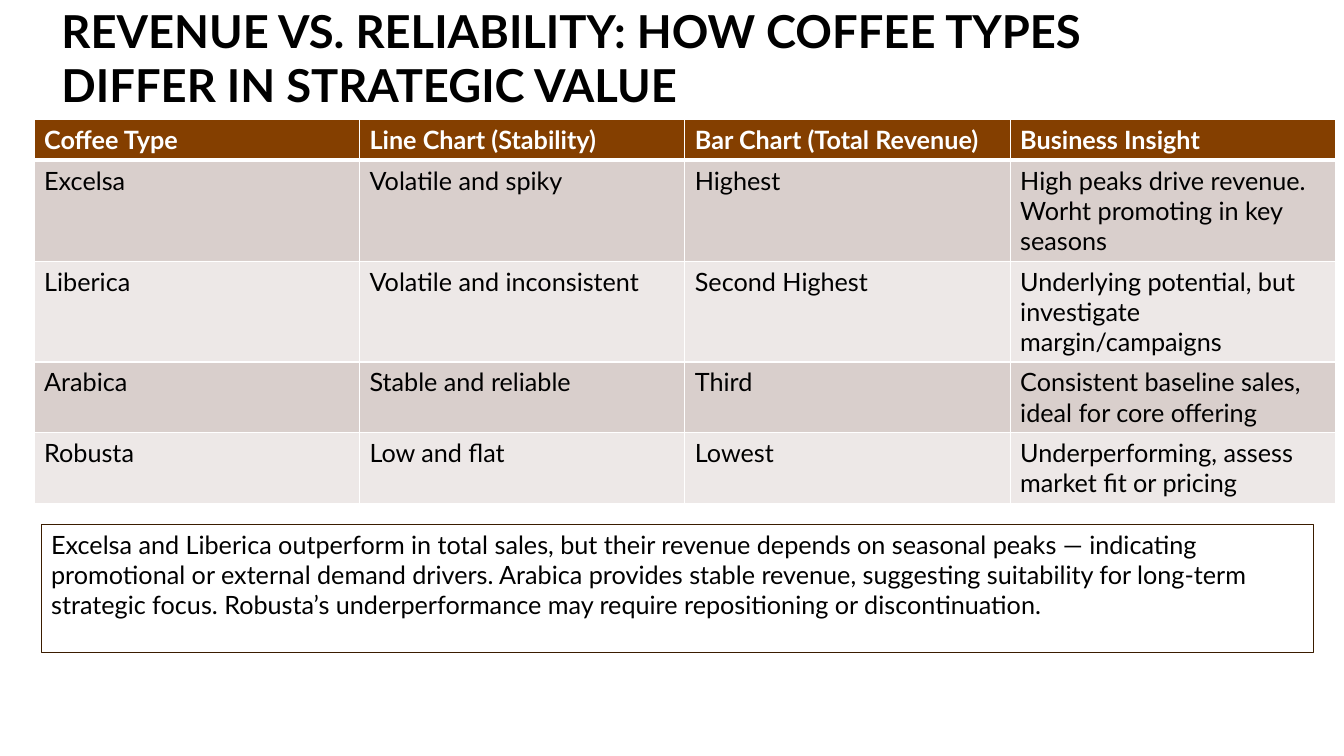
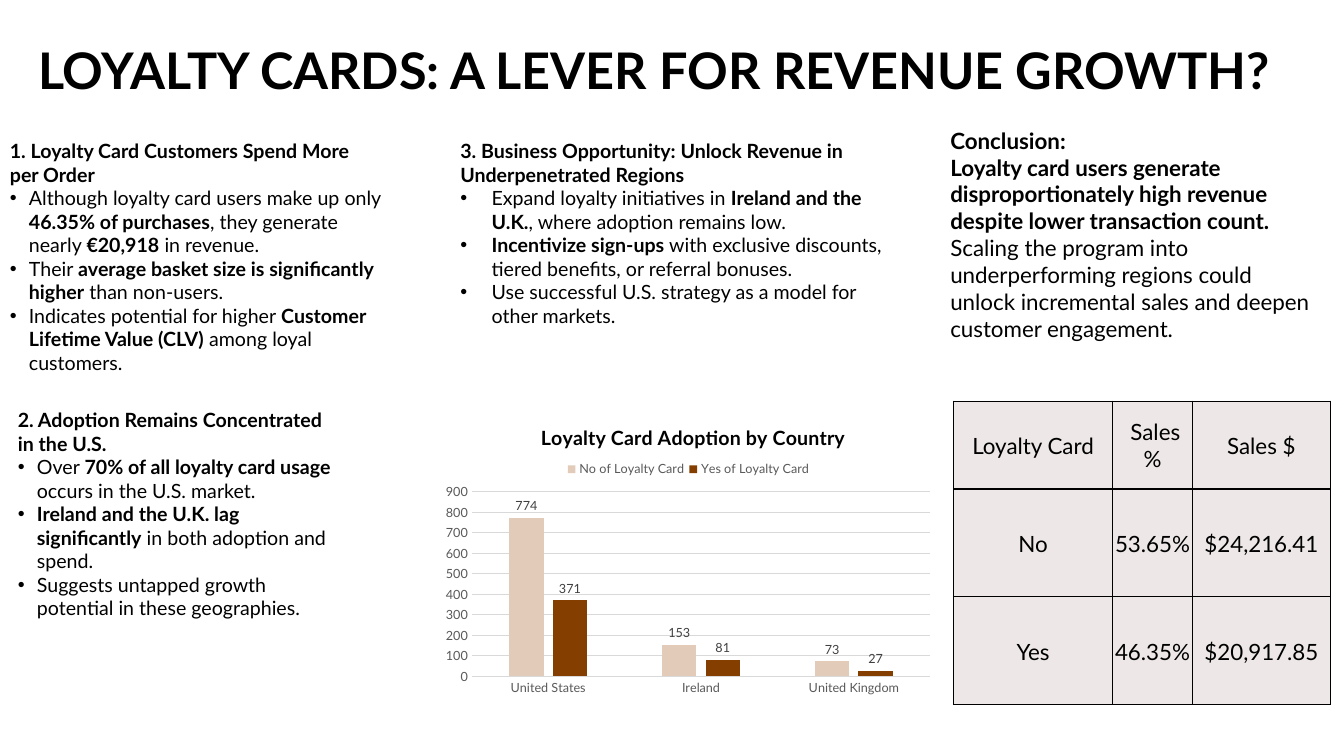
from lxml.etree import SubElement
from pptx import Presentation
from pptx.chart.data import CategoryChartData
from pptx.dml.color import RGBColor
from pptx.enum.chart import XL_CHART_TYPE, XL_LABEL_POSITION, XL_LEGEND_POSITION, XL_TICK_MARK
from pptx.enum.shapes import MSO_SHAPE
from pptx.enum.text import MSO_ANCHOR, PP_ALIGN
from pptx.oxml import parse_xml
from pptx.oxml.ns import nsdecls, qn
from pptx.util import Cm, Pt

FONT = "Lato"
BLACK, WHITE = "000000", "FFFFFF"
BROWN, DARK_BROWN, BEIGE = "843F00", "3A1C00", "E2CBB9"
BAND, PALE = "D9CFCC", "EDE8E7"
GRID, AXIS_TEXT, LABEL_TEXT = "D9D9D9", "595959", "404040"

COFFEE_ROWS = [
    ["Coffee Type", "Line Chart (Stability)", "Bar Chart (Total Revenue)", "Business Insight"],
    ["Excelsa", "Volatile and spiky", "Highest",
     "High peaks drive revenue. Worht promoting in key seasons"],
    ["Liberica", "Volatile and inconsistent", "Second Highest",
     "Underlying potential, but investigate margin/campaigns"],
    ["Arabica", "Stable and reliable", "Third", "Consistent baseline sales, ideal for core offering"],
    ["Robusta", "Low and flat", "Lowest", "Underperforming, assess market fit or pricing"],
]
SUMMARY = (
    "Excelsa and Liberica outperform in total sales, but their revenue depends on seasonal peaks — "
    "indicating promotional or external demand drivers. Arabica provides stable revenue, suggesting "
    "suitability for long-term strategic focus. Robusta’s underperformance may require repositioning "
    "or discontinuation."
)
SPENDING = [
    "**1. Loyalty Card Customers Spend More per Order**",
    "Although loyalty card users make up only **46.35% of purchases**, they generate nearly "
    "**€20,918** in revenue.",
    "Their **average basket size is significantly higher** than non-users.",
    "Indicates potential for higher **Customer Lifetime Value (CLV)** among loyal customers.",
]
ADOPTION = [
    "**2. Adoption Remains Concentrated in the U.S.**",
    "Over **70% of all loyalty card usage** occurs in the U.S. market.",
    "**Ireland and the U.K. lag significantly** in both adoption and spend.",
    "Suggests untapped growth potential in these geographies.",
]
OPPORTUNITY = [
    "**3. Business Opportunity: Unlock Revenue in Underpenetrated Regions**",
    "Expand loyalty initiatives in **Ireland and the U.K.**, where adoption remains low.",
    "**Incentivize sign-ups** with exclusive discounts, tiered benefits, or referral bonuses.",
    "Use successful U.S. strategy as a model for other markets.",
]
CONCLUSION = [
    "**Conclusion:**",
    "**Loyalty card users generate disproportionately high revenue despite lower transaction count.**",
    "Scaling the program into underperforming regions could unlock incremental sales and deepen "
    "customer engagement.",
]
CARD_ROWS = [
    ["Loyalty Card", " Sales %", "Sales $"],
    ["No", "53.65%", "$24,216.41"],
    ["Yes", "46.35%", "$20,917.85"],
]
COUNTRIES = ["United States", "Ireland", "United Kingdom"]
CARD_SERIES = [
    ("No of Loyalty Card", [774, 153, 73], BEIGE),
    ("Yes of Loyalty Card", [371, 81, 27], BROWN),
]


def rgb(value):
    """Turn a hex string into a colour."""
    return RGBColor.from_string(value)


def style(font, size, color=BLACK, bold=False):
    """Set face, size, colour and weight of a font."""
    font.name, font.size, font.bold = FONT, Pt(size), bold
    font.color.rgb = rgb(color)


def write(p, text, size, color=BLACK):
    """Add runs to a paragraph, bold between double asterisks."""
    for i, part in enumerate(text.split("**")):
        if part:
            r = p.add_run()
            r.text = part
            style(r.font, size, color, i % 2 == 1)


def add_bullet(p, indent):
    """Give a paragraph a bullet with a hanging indent in centimetres."""
    pPr = p._p.get_or_add_pPr()
    pPr.set("marL", str(Cm(indent)))
    pPr.set("indent", str(-Cm(indent)))
    SubElement(pPr, qn("a:buFont"), typeface="Arial")
    SubElement(pPr, qn("a:buChar"), char="•")


def add_text(s, box, lines, size, indent=0):
    """Place a text box, bulleting all but its first line when an indent is given."""
    tf = s.shapes.add_textbox(*map(Cm, box)).text_frame
    tf.word_wrap = True
    for i, line in enumerate(lines):
        p = tf.paragraphs[0] if i == 0 else tf.add_paragraph()
        if indent and i:
            add_bullet(p, indent)
        write(p, line, size)
    return tf


def add_title(s, box, text, size):
    """Place a bold title centred vertically in its box."""
    tf = add_text(s, box, [f"**{text}**"], size)
    tf.vertical_anchor = MSO_ANCHOR.MIDDLE
    tf.margin_top = tf.margin_bottom = 0


def add_border(cell, color, bottom=1):
    """Outline a cell at one point, with its own bottom width."""
    tcPr = cell._tc.get_or_add_tcPr()
    for i, (side, width) in enumerate([("L", 1), ("R", 1), ("T", 1), ("B", bottom)]):
        tcPr.insert(i, parse_xml(
            f'<a:ln{side} {nsdecls("a")} w="{Pt(width)}"><a:solidFill>'
            f'<a:srgbClr val="{color}"/></a:solidFill></a:ln{side}>'))


def add_grid(s, origin, widths, heights):
    """Place an unbanded table with the given column widths and row heights."""
    box = (*origin, sum(widths), sum(heights))
    t = s.shapes.add_table(len(heights), len(widths), *map(Cm, box)).table
    t.first_row = t.horz_banding = False
    for col, width in zip(t.columns, widths):
        col.width = Cm(width)
    for row, height in zip(t.rows, heights):
        row.height = Cm(height)
    return t


def fill_cell(cell, text, size, color, fill):
    """Write a cell and colour it."""
    cell.fill.solid()
    cell.fill.fore_color.rgb = rgb(fill)
    p = cell.text_frame.paragraphs[0]
    write(p, text, size, color)
    return p


def add_coffee_table(s, origin):
    """Place the comparison of coffee types under a brown header."""
    t = add_grid(s, origin, [8.2] * 4, [1.02, 2.54, 2.54, 1.78, 1.78])
    for i, row in enumerate(COFFEE_ROWS):
        for j, text in enumerate(row):
            cell = t.cell(i, j)
            if i == 0:
                fill_cell(cell, f"**{text}**", 18, WHITE, BROWN)
            else:
                fill_cell(cell, text, 18, BLACK, BAND if i % 2 else PALE)
            add_border(cell, WHITE, 3 if i == 0 else 1)


def add_card_table(s, origin):
    """Place the sales split by loyalty card."""
    t = add_grid(s, origin, [4.01, 2.01, 3.48], [2.21, 2.72, 2.72])
    for i, row in enumerate(CARD_ROWS):
        for j, text in enumerate(row):
            cell = t.cell(i, j)
            cell.vertical_anchor = MSO_ANCHOR.MIDDLE
            cell.margin_left = cell.margin_right = cell.margin_top = Cm(0.03)
            cell.margin_bottom = 0
            fill_cell(cell, text, 16, BLACK, PALE).alignment = PP_ALIGN.CENTER
            add_border(cell, BLACK)


def add_summary(s, box):
    """Place the outlined summary paragraph."""
    sp = s.shapes.add_shape(MSO_SHAPE.RECTANGLE, *map(Cm, box))
    sp.shadow.inherit = False
    sp.fill.background()
    sp.line.color.rgb = rgb(DARK_BROWN)
    sp.line.width = Pt(1)
    tf = sp.text_frame
    tf.word_wrap = True
    tf.vertical_anchor = MSO_ANCHOR.TOP
    tf.margin_right = Cm(0.53)
    p = tf.paragraphs[0]
    p.alignment = PP_ALIGN.LEFT
    write(p, SUMMARY, 18)


def set_layout(element, inner=False, **fractions):
    """Fix a chart part at fractions of the chart area."""
    for old in element.findall(qn("c:layout")):
        element.remove(old)
    target = '<c:layoutTarget val="inner"/>' if inner else ""
    modes = "".join(f'<c:{k}Mode val="edge"/>' for k in "xy")
    sizes = "".join(f'<c:{k} val="{v}"/>' for k, v in fractions.items())
    layout = parse_xml(f'<c:layout {nsdecls("c")}><c:manualLayout>{target}{modes}{sizes}'
                       '</c:manualLayout></c:layout>')
    overlay = element.find(qn("c:overlay"))
    if overlay is None:
        element.insert(0, layout)
    else:
        overlay.addprevious(layout)


def add_adoption_chart(s, box):
    """Place the column chart of loyalty cards by country."""
    data = CategoryChartData()
    data.categories = COUNTRIES
    for name, values, _ in CARD_SERIES:
        data.add_series(name, values)
    chart = s.shapes.add_chart(XL_CHART_TYPE.COLUMN_CLUSTERED, *map(Cm, box), data).chart
    style(chart.font, 10)

    chart.has_title = True
    write(chart.chart_title.text_frame.paragraphs[0], "**Loyalty Card Adoption by Country**", 14)
    set_layout(chart.chart_title._element, x=0.2, y=0.06)

    chart.has_legend = True
    legend = chart.legend
    legend.position = XL_LEGEND_POSITION.TOP
    legend.include_in_layout = False
    style(legend.font, 9, AXIS_TEXT)
    set_layout(legend._element, x=0.25, y=0.19, w=0.5, h=0.07)
    set_layout(chart.element.find(f'.//{qn("c:plotArea")}'), True, x=0.07, y=0.3, w=0.91, h=0.61)

    for axis in (chart.category_axis, chart.value_axis):
        axis.major_tick_mark = axis.minor_tick_mark = XL_TICK_MARK.NONE
        style(axis.tick_labels.font, 9, AXIS_TEXT)
    chart.value_axis.minimum_scale, chart.value_axis.maximum_scale = 0, 900
    chart.value_axis.major_unit = 100
    chart.value_axis.format.line.fill.background()
    for line in (chart.category_axis.format.line, chart.value_axis.major_gridlines.format.line):
        line.color.rgb = rgb(GRID)
        line.width = Pt(0.75)

    plot = chart.plots[0]
    plot.gap_width, plot.overlap, plot.vary_by_categories = 219, -27, False
    for series, (_, _, color) in zip(plot.series, CARD_SERIES):
        series.format.fill.solid()
        series.format.fill.fore_color.rgb = rgb(color)
        labels = series.data_labels
        labels.show_value = True
        labels.position = XL_LABEL_POSITION.OUTSIDE_END
        style(labels.font, 9, LABEL_TEXT)


def build_coffee_slide(s):
    """Compare coffee types by revenue and reliability."""
    add_title(s, (1.3, 0.56, 28.58, 1.78),
              "REVENUE VS. RELIABILITY: HOW COFFEE TYPES DIFFER IN STRATEGIC VALUE", 32.4)
    add_coffee_table(s, (0.86, 3.02))
    add_summary(s, (1.04, 13.21, 32.06, 3.23))


def build_loyalty_slide(s):
    """Show how loyalty cards relate to revenue."""
    add_title(s, (0.71, 0.58, 32.5, 2.34), "LOYALTY CARDS: A LEVER FOR REVENUE GROWTH?", 36)
    add_text(s, (0, 3.38, 9.86, 6.25), SPENDING, 14, 0.48)
    add_text(s, (0.2, 10.16, 8.61, 5.64), ADOPTION, 14, 0.48)
    add_text(s, (11.35, 3.38, 11.15, 5.05), OPPORTUNITY, 14, 0.79)
    add_text(s, (23.7, 3.07, 9.8, 5.74), CONCLUSION, 16)
    add_adoption_chart(s, (11, 10.11, 12.7, 7.62))
    add_card_table(s, (24.03, 10.11))


def main():
    """Build and save the presentation."""
    prs = Presentation()
    prs.slide_width, prs.slide_height = Cm(33.87), Cm(19.05)
    for build in (build_coffee_slide, build_loyalty_slide):
        build(prs.slides.add_slide(prs.slide_layouts[6]))
    prs.save("out.pptx")


if __name__ == "__main__":
    main()
